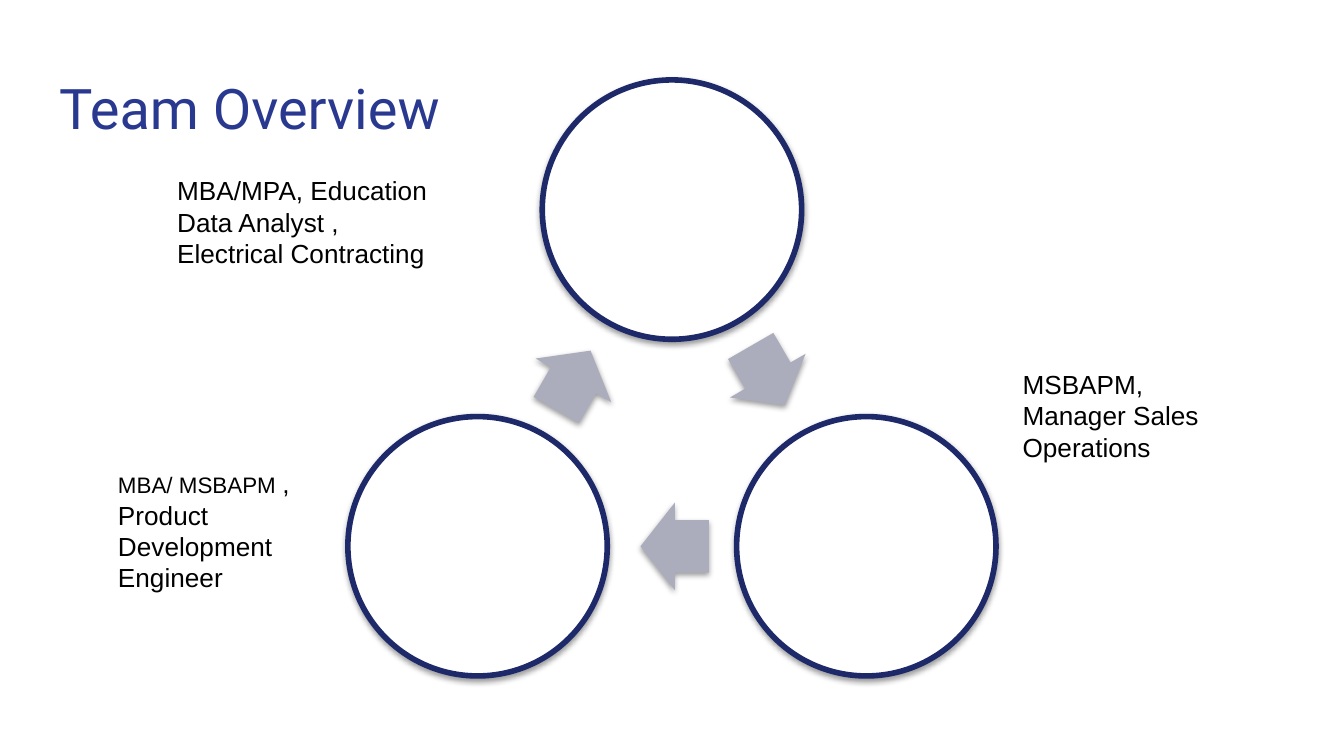
from math import cos, radians, sin

from lxml.etree import SubElement
from pptx import Presentation
from pptx.dml.color import RGBColor
from pptx.enum.shapes import MSO_SHAPE as Shape
from pptx.enum.text import MSO_ANCHOR as Anchor, MSO_AUTO_SIZE as AutoSize, PP_ALIGN as Align
from pptx.oxml.ns import qn
from pptx.util import Inches, Pt

COLORS = {"title": "2A3990", "ring": "1E2969", "arrow": "ACADBC",
          "white": "FFFFFF", "text": "000000"}


def add_span(para, text, size=14, font="Arial", color="text"):
    span = para.add_run()
    span.text = text
    span.font.size = Pt(size)
    span.font.name = font
    span.font.color.rgb = RGBColor.from_string(COLORS[color])


class TeamPage:
    def __init__(self, deck):
        self.page = deck.slides.add_slide(deck.slide_layouts[5])

    def title(self, text, left, top, width, height):
        box = self.page.shapes.title
        box.left, box.top, box.width, box.height = map(Inches, (left, top, width, height))
        frame = box.text_frame
        frame.margin_left = frame.margin_right = Inches(0.1)
        frame.margin_top = frame.margin_bottom = Inches(0.1)
        frame.vertical_anchor = Anchor.TOP
        frame.auto_size = AutoSize.NONE
        para = frame.paragraphs[0]
        para.alignment = Align.LEFT
        add_span(para, text, size=30, font="Roboto", color="title")

    def centred(self, kind, x, y, width, height, fill):
        shape = self.page.shapes.add_shape(
            kind, Inches(x - width / 2), Inches(y - height / 2), Inches(width), Inches(height))
        shape.fill.solid()
        shape.fill.fore_color.rgb = RGBColor.from_string(COLORS[fill])
        self.soft_shadow(shape)
        return shape

    def soft_shadow(self, shape):
        shape.shadow.inherit = False
        effects = shape._element.spPr.find(qn("a:effectLst"))
        shadow = SubElement(effects, qn("a:outerShdw"), blurRad=str(Pt(3.1)),
                            dist=str(Pt(1.6)), dir="5400000", rotWithShape="0")
        tint = SubElement(shadow, qn("a:srgbClr"), val="000000")
        SubElement(tint, qn("a:alpha"), val="38000")

    def circle(self, x, y, size):
        shape = self.centred(Shape.OVAL, x, y, size, size, "white")
        shape.line.color.rgb = RGBColor.from_string(COLORS["ring"])
        shape.line.width = Pt(3)

    def arrow(self, x, y, angle):
        shape = self.centred(Shape.RIGHT_ARROW, x, y, 0.51, 0.65, "arrow")
        shape.adjustments[0] = 0.6
        shape.adjustments[1] = 0.5
        shape.line.fill.background()
        shape.rotation = angle

    def label(self, paragraphs, left, top, width, height):
        box = self.page.shapes.add_textbox(*map(Inches, (left, top, width, height)))
        frame = box.text_frame
        frame.word_wrap = True
        frame.auto_size = AutoSize.SHAPE_TO_FIT_TEXT
        for index, spans in enumerate(paragraphs):
            para = frame.add_paragraph() if index else frame.paragraphs[0]
            for text, size in spans:
                add_span(para, text, size=size)


def main():
    # Widescreen 16:9 page
    deck = Presentation()
    deck.slide_width = Inches(10)
    deck.slide_height = Inches(10 * 9 / 16)
    team = TeamPage(deck)
    team.title("Team Overview", 0.34, 0.45, 9.32, 0.66)

    # Cycle: three circles on a ring, each followed by an arrow to the next
    center_x, center_y, radius, setback = 5, 3.23, 1.67, 0.02
    for step in range(3):
        turn = radians(120 * step - 90)
        team.circle(center_x + radius * cos(turn), center_y + radius * sin(turn), 1.93)

        # Midway between two circles, set back slightly along its direction
        middle = turn + radians(60)
        heading = 60 + 120 * step
        team.arrow(center_x + radius / 2 * cos(middle) - setback * cos(radians(heading)),
                   center_y + radius / 2 * sin(middle) - setback * sin(radians(heading)),
                   heading)

    # Team member labels
    team.label([[("MBA/MPA, Education Data Analyst , Electrical Contracting", 14)]],
               1.22, 1.25, 2.11, 0.81)
    team.label([[("MSBAPM,", 14)], [("Manager Sales Operations", 14)]],
               7.51, 2.69, 2.05, 0.81)
    team.label([[("MBA/ MSBAPM ", 12), (", Product Development Engineer", 14)]],
               0.78, 3.43, 1.56, 1.04)

    deck.save("out.pptx")


if __name__ == "__main__":
    main()
